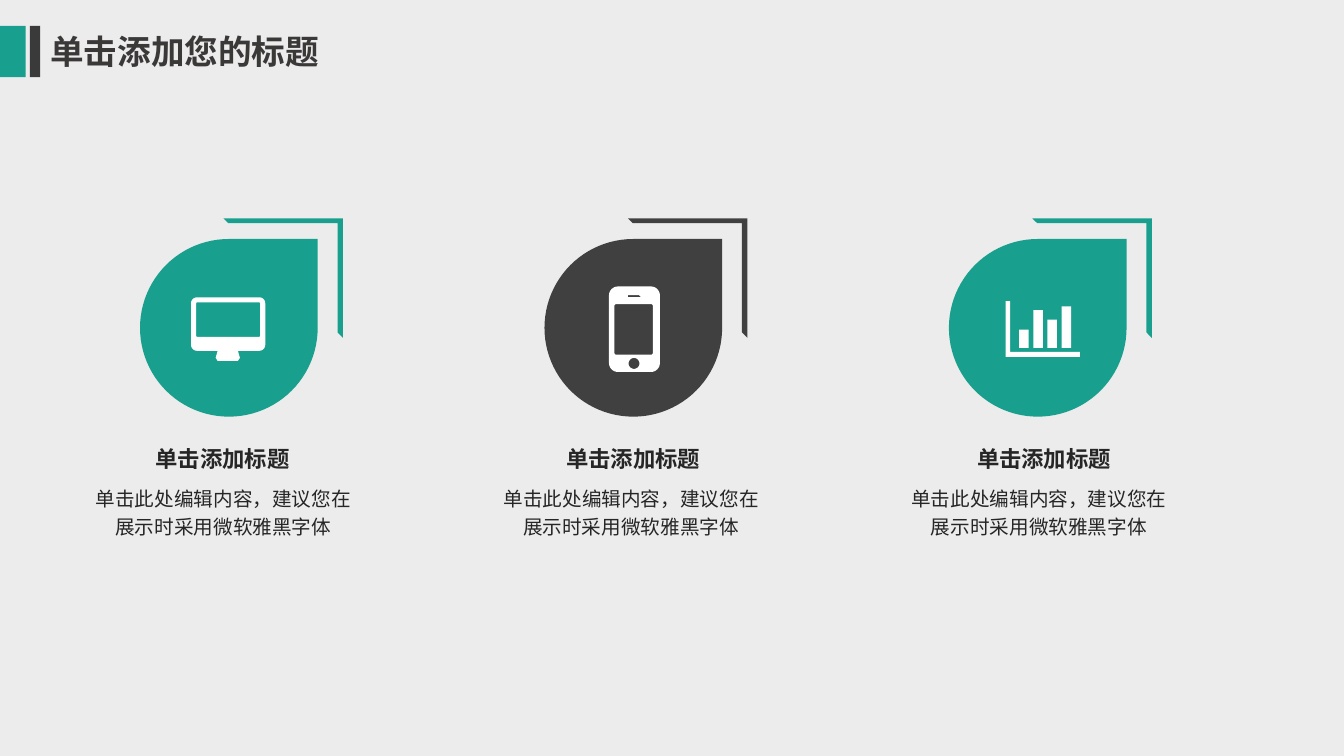
import math
import pptx
import pptx.util
import pptx.dml.color
import pptx.enum.shapes
import pptx.enum.text
import pptx.oxml.ns
import lxml.etree

Pt = pptx.util.Pt
Kind = pptx.enum.shapes.MSO_SHAPE
Align = pptx.enum.text.PP_ALIGN
TEAL, GRAY, WHITE, INK = "199F8E", "404040", "FFFFFF", "262626"


def color(code):
    return pptx.dml.color.RGBColor.from_string(code)


def box(left, top, right, bottom):
    return [(left, top), (right, top), (right, bottom), (left, bottom)]


def soft(left, top, right, bottom, rad):
    """Outline of a box with round corners, clockwise."""
    mids = [(right - rad, bottom - rad), (left + rad, bottom - rad),
            (left + rad, top + rad), (right - rad, top + rad)]
    points = []
    for turn, (x, y) in enumerate(mids):
        for step in range(9):
            angle = math.radians(90 * turn + 90 * step / 8)
            points.append((x + rad * math.cos(angle), y + rad * math.sin(angle)))
    return points


class Deck:
    font = "Noto Sans CJK SC"

    def __init__(self, back):
        self.file = pptx.Presentation()
        self.file.slide_width, self.file.slide_height = Pt(960), Pt(540)
        self.slide = self.file.slides.add_slide(self.file.slide_layouts[6])
        fill = self.slide.background.fill
        fill.solid()
        fill.fore_color.rgb = color(back)

    def paint(self, shape, code):
        shape.shadow.inherit = False
        shape.fill.solid()
        shape.fill.fore_color.rgb = color(code)
        shape.line.fill.background()

    def shape(self, kind, left, top, width, height, code, turn=0, adjust=()):
        item = self.slide.shapes.add_shape(kind, Pt(left), Pt(top), Pt(width), Pt(height))
        self.paint(item, code)
        item.rotation = turn
        for index, value in enumerate(adjust):
            item.adjustments[index] = value

    def icon(self, rings, code):
        rings = [[(Pt(x), Pt(y)) for x, y in ring] for ring in rings]
        pen = self.slide.shapes.build_freeform(*rings[0][0])
        for index, ring in enumerate(rings):
            if index:
                pen.move_to(*ring[0])
            pen.add_line_segments(ring[1:], close=True)
        self.paint(pen.convert_to_shape(), code)

    def text(self, words, left, top, width, height, size, code, align,
             bold=False, inset=None, lead=None, after=None):
        item = self.slide.shapes.add_textbox(Pt(left), Pt(top), Pt(width), Pt(height))
        frame = item.text_frame
        frame.text = words
        frame.word_wrap = True
        if inset is not None:
            frame.margin_left = frame.margin_right = Pt(inset)
            frame.margin_top = frame.margin_bottom = Pt(inset)
        para = frame.paragraphs[0]
        para.alignment = align
        if lead:
            para.line_spacing = lead
        if after:
            para.space_after = Pt(after)
        run = para.runs[0]
        run.font.size, run.font.bold, run.font.name = Pt(size), bold, self.font
        run.font.color.rgb = color(code)
        # East Asian typeface
        east = lxml.etree.SubElement(run.font._element, pptx.oxml.ns.qn("a:ea"))
        east.set("typeface", self.font)


def main():
    deck = Deck("ECECEC")

    # Title bar
    deck.shape(Kind.RECTANGLE, 0, 18.4, 18.4, 36.7, TEAL)
    deck.shape(Kind.RECTANGLE, 21.4, 18.4, 7.3, 36.7, "3A3A3A")
    deck.text("单击添加您的标题", 28.8, 18.4, 215.3, 36.4, 24, "3B3838",
              Align.JUSTIFY, bold=True)

    # Icon outlines: each inner ring cuts a hole
    screen = [soft(136.5, 212.4, 189.5, 250.6, 4.3),
              soft(140.2, 216, 185.8, 240.6, 0.7),
              [(155.5, 250.6), (170, 250.6), (171.4, 255.6),
               (170, 257.8), (155.5, 257.8), (154.1, 255.6)]]
    phone = [soft(435, 204.6, 471.4, 265.7, 6.4),
             soft(438.9, 217.2, 466.4, 253.4, 1.4),
             [(448.6, 210.8), (456.5, 210.8), (457.9, 212.2), (448.6, 212.2)],
             soft(449, 255.7, 456.8, 263.5, 3.9)]
    chart = [[(718.4, 215.2), (721.6, 215.2), (721.6, 251.4),
              (771.4, 251.4), (771.4, 255), (718.4, 255)]]
    for index, top in enumerate([235.4, 221.5, 228.4, 218.9]):
        left = 728 + 10.1 * index
        chart.append(box(left, top, left + 6.8, 248.6))

    # Three columns
    for index, (icon, code) in enumerate([(screen, TEAL), (phone, GRAY), (chart, TEAL)]):
        move = 288.9 * index
        deck.shape(Kind.TEAR, 100 + move, 170.7, 126.9, 126.9, code)
        deck.shape(Kind.HALF_FRAME, 159.6 + move, 156, 85.4, 85.4, code,
                   turn=90, adjust=(0.046, 0.039))
        deck.icon(icon, WHITE)
        deck.text("单击添加标题", 97 + 293.4 * index, 314.6, 124, 26.7, 16, INK,
                  Align.CENTER, bold=True)
        deck.text("单击此处编辑内容，建议您在展示时采用微软雅黑字体",
                  66 + 291.3 * index, 344.2, 187.2, 39.6, 14, INK,
                  Align.CENTER, inset=0, lead=1.2, after=6)

    deck.file.save("out.pptx")


if __name__ == "__main__":
    main()
